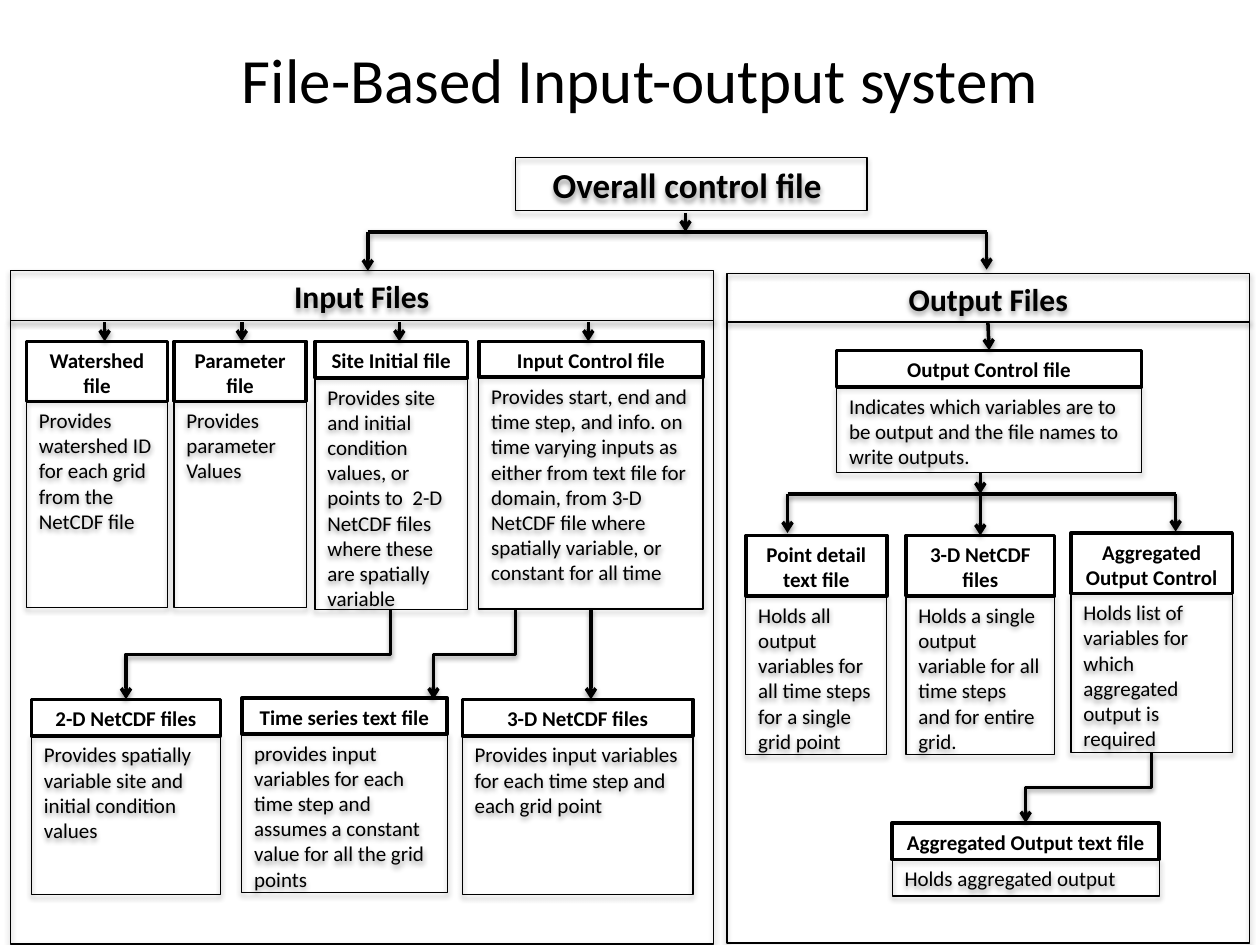
from lxml.etree import SubElement
from pptx import Presentation
from pptx.dml.color import RGBColor
from pptx.enum.shapes import MSO_CONNECTOR as Link, MSO_SHAPE as Preset
from pptx.enum.text import MSO_ANCHOR as Anchor, PP_ALIGN as Align
from pptx.oxml.ns import qn
from pptx.util import Pt

COLORS = {"ink": "000000"}
INK = RGBColor.from_string(COLORS["ink"])
FONT = "Calibri"


def cast_shadow(effects):
    """Put a soft downward shadow into an effect list."""
    shadow = SubElement(effects, qn("a:outerShdw"), blurRad=str(Pt(3.1)),
                        dist=str(Pt(1.6)), dir="5400000", rotWithShape="0")
    color = SubElement(shadow, qn("a:srgbClr"), val=COLORS["ink"])
    SubElement(color, qn("a:alpha"), val="38000")


def write(frame, text, size, bold=False, align=Align.LEFT):
    """Write one run of text into a frame."""
    paragraph = frame.paragraphs[0]
    paragraph.alignment = align
    run = paragraph.add_run()
    run.text = text
    run.font.name, run.font.size, run.font.bold = FONT, Pt(size), bold
    run.font.color.rgb = INK


def frame_box(slide, left, top, width, height, weight=0.75, shadow=True):
    """Draw an unfilled outlined box and return its text frame."""
    box = slide.shapes.add_shape(Preset.RECTANGLE, Pt(left), Pt(top), Pt(width), Pt(height))
    box.fill.background()
    box.line.color.rgb = INK
    box.line.width = Pt(weight)
    box.shadow.inherit = False
    if shadow:
        cast_shadow(box._element.spPr.find(qn("a:effectLst")))
    box.text_frame.word_wrap = True
    box.text_frame.vertical_anchor = Anchor.TOP
    return box.text_frame


def style_link(link, arrow):
    """Give a connector its weight, arrowhead and shadow."""
    link.line.color.rgb = INK
    link.line.width = Pt(2)
    if arrow:
        SubElement(link.line._get_or_add_ln(), qn("a:tailEnd"), type="arrow")
    cast_shadow(SubElement(link._element.spPr, qn("a:effectLst")))


def straight(slide, x1, y1, x2, y2, arrow=True):
    """Draw a straight connector."""
    link = slide.shapes.add_connector(Link.STRAIGHT, Pt(x1), Pt(y1), Pt(x2), Pt(y2))
    style_link(link, arrow)


def bent(slide, x1, y1, x2, y2):
    """Draw an elbow arrow that leaves downwards and ends further left."""
    mid_x, mid_y = (x1 + x2) / 2, (y1 + y2) / 2
    half_drop, half_run = (y2 - y1) / 2, (x1 - x2) / 2
    link = slide.shapes.add_connector(
        Link.ELBOW, Pt(mid_x - half_drop), Pt(mid_y - half_run),
        Pt(mid_x + half_drop), Pt(mid_y + half_run))
    link._element.spPr.find(qn("a:xfrm")).set("rot", "5400000")
    style_link(link, True)


def file_card(slide, left, top, width, head, body, name, purpose):
    """Draw a file name box with its description box below."""
    write(frame_box(slide, left, top, width, head, 2, False), name, 12, True, Align.CENTER)
    write(frame_box(slide, left, top + head, width, body), purpose, 12)


def panel(slide, left, top, width, head, body, name, cards):
    """Draw a titled panel and the file cards inside it."""
    write(frame_box(slide, left, top, width, head), name, 18, True, Align.CENTER)
    frame_box(slide, left, top + head, width, body)
    for x, y, *card in cards:
        file_card(slide, left + x, top + y, *card)


def branch(slide, stem, top, bar, drops):
    """Draw a stem that splits over a bar into (x, end) drops."""
    straight(slide, stem, top, stem, bar)
    straight(slide, drops[0][0], bar, drops[-1][0], bar, False)
    for x, end in drops:
        straight(slide, x, bar, x, end)


def control_region(slide, left, top):
    """Draw the overall control file and its split to both panels."""
    write(frame_box(slide, left, top, 200.9, 30.2), "Overall control file ", 20, True, Align.CENTER)
    branch(slide, left + 97.2, top + 31.7, top + 42.5,
           [(left - 84.3, top + 64.8), (left + 269.3, top + 64.1)])


def input_region(slide, left, top):
    """Draw the input files panel."""
    panel(slide, left, top, 401.8, 28.3, 356.4, "Input Files", [
        (9.3, 40.3, 80.6, 34.2, 118.1, "Watershed file",
         "Provides watershed ID for each grid from the NetCDF file"),
        (93.6, 40.3, 75.6, 34.2, 118.1, "Parameter file", "Provides parameter Values"),
        (174.2, 40.3, 87.1, 20.9, 132.5, "Site Initial file",
         "Provides site and initial condition values, or points to  2-D NetCDF files "
         "where these are spatially variable"),
        (267.8, 40.3, 128.2, 20.5, 132.5, "Input Control file",
         "Provides start, end and time step, and info. on time varying inputs as either "
         "from text file for domain, from 3-D NetCDF file where spatially variable, or "
         "constant for all time"),
        (12.2, 244.8, 108, 20.9, 90.7, "2-D NetCDF files",
         "Provides spatially variable site and initial condition values"),
        (132.4, 244.1, 117.4, 20.5, 90.7, "Time series text file",
         "provides input variables for each time step and assumes a constant value for "
         "all the grid points"),
        (258.4, 244.8, 131.8, 20.9, 90.7, "3-D NetCDF files",
         "Provides input variables for each time step and each grid point"),
    ])
    for x in (54, 132.4, 222.4, 330.4):
        straight(slide, left + x, top + 29.5, left + x, top + 40.3)
    for start, end in ((217.4, 66.2), (288.7, 241.9)):
        bent(slide, left + start, top + 193.5, left + end, top + 244.8)
    straight(slide, left + 331.9, top + 193, left + 331.9, top + 244.8)


def output_region(slide, left, top):
    """Draw the output files panel."""
    panel(slide, left, top, 298.8, 27.8, 354.8, "Output Files", [
        (62.7, 44, 174.2, 20.9, 49, "Output Control file",
         "Indicates which variables are to be output and the file names to write outputs."),
        (10.8, 149.8, 80.6, 34.6, 90.7, "Point detail text file",
         "Holds all output variables for all time steps for a single grid point"),
        (102.3, 149.8, 85, 34.6, 90.7, "3-D NetCDF files",
         "Holds a single output variable for all time steps and for entire  grid."),
        (196.6, 148.4, 92.2, 34.6, 90.7, "Aggregated Output Control",
         "Holds list of variables for which aggregated output is required"),
        (94.4, 314, 152.6, 20.9, 20.9, "Aggregated Output text file",
         "Holds aggregated output"),
    ])
    straight(slide, left + 149.1, top + 27.4, left + 149.8, top + 44)
    branch(slide, left + 144.8, top + 113.8, top + 126,
           [(left + 34.6, top + 148.4), (left + 144.8, top + 149.8), (left + 256.4, top + 147.6)])
    bent(slide, left + 242.7, top + 273.6, left + 170.7, top + 314)


def title_region(slide, left, top, width, height):
    """Place and write the slide title."""
    title = slide.shapes.title
    title.left, title.top, title.width, title.height = Pt(left), Pt(top), Pt(width), Pt(height)
    title.text_frame.vertical_anchor = Anchor.MIDDLE
    write(title.text_frame, "File-Based Input-output system", 36, align=Align.CENTER)


def main():
    """Build the slide and save it."""
    deck = Presentation()
    deck.slide_width, deck.slide_height = Pt(720), Pt(540)
    slide = deck.slides.add_slide(deck.slide_layouts[5])
    title_region(slide, 41.8, 23.8, 648, 41.8)
    control_region(slide, 294.5, 90)
    input_region(slide, 5.8, 154.8)
    output_region(slide, 415.4, 156.2)
    deck.save("out.pptx")


main()
